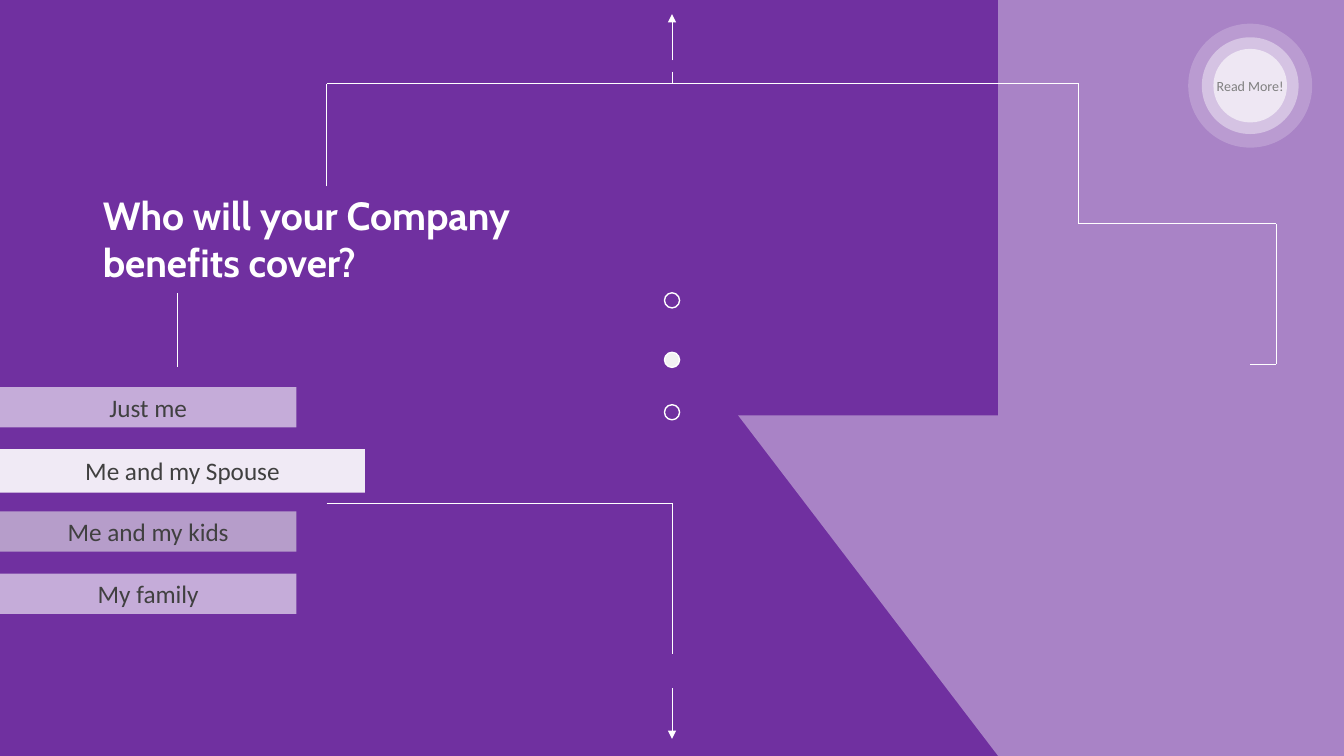
import itertools

import pptx
import pptx.dml.color
import pptx.enum.shapes
import pptx.enum.text
import pptx.oxml
import pptx.oxml.ns
import pptx.util

SHAPE = pptx.enum.shapes.MSO_SHAPE
ALIGN = pptx.enum.text.PP_ALIGN
ANCHOR = pptx.enum.text.MSO_ANCHOR
inch = pptx.util.Inches
W, H = 13.33, 7.5

# Content
QUESTION = ["Who will your Company", "benefits cover?"]
ANSWERS = [  # label, width, height, fill, opacity %
    ("Just me", 2.94, 0.4, "FFFFFF", 60),
    ("Me and my Spouse", 3.62, 0.43, "FFFFFF", 90),
    ("Me and my kids", 2.94, 0.4, "E6E6E6", 60),
    ("My family", 2.94, 0.4, "FFFFFF", 60),
]
RINGS = [  # diameter, opacity %, label
    (0.73, 60, ""),
    (0.96, 40, ""),
    (1.23, 20, "Read More!"),
]
DOTS = [(2.98, None), (3.57, "F2F2F2"), (4.09, None)]  # centre height, fill
MID = W / 2
ROUTES = [  # corner points of each thin line
    [(3.24, 1.85), (3.24, 0.83), (10.7, 0.83), (10.7, 2.22),
     (12.66, 2.22), (12.66, 3.61), (12.4, 3.61)],
    [(MID, 0.71), (MID, 0.83)],
    [(1.76, 2.91), (1.76, 3.64)],
    [(3.24, 4.99), (MID, 4.99), (MID, 6.49)],
]
ARROWS = [[(MID, 0.6), (MID, 0.14)], [(MID, 6.83), (MID, 7.33)]]
PURPLE, LILAC, WHITE = "7030A0", "A983C6", "FFFFFF"


def rgb(code):
    return pptx.dml.color.RGBColor.from_string(code)


def write(paragraph, text, font, size, color, align, bold=False):
    paragraph.alignment = align
    run = paragraph.add_run()
    run.text = text
    run.font.name, run.font.size = font, pptx.util.Pt(size)
    run.font.bold, run.font.color.rgb = bold, rgb(color)


def add_part(kind, left, top, width, height, fill=None, opacity=100, outline=None):
    part = slide.shapes.add_shape(kind, inch(left), inch(top), inch(width), inch(height))
    part.shadow.inherit = False
    if fill:
        part.fill.solid()
        part.fill.fore_color.rgb = rgb(fill)
        if opacity < 100:
            color = part.fill._xPr.find(".//" + pptx.oxml.ns.qn("a:srgbClr"))
            color.append(pptx.oxml.parse_xml(
                f'<a:alpha {pptx.oxml.ns.nsdecls("a")} val="{opacity * 1000}"/>'))
    else:
        part.fill.background()
    if outline:
        part.line.color.rgb = rgb(outline)
        part.line.width = pptx.util.Pt(1)
    else:
        part.line.fill.background()
    return part


def label(part, text, size, color):
    frame = part.text_frame
    frame.word_wrap = False
    frame.vertical_anchor = ANCHOR.MIDDLE
    write(frame.paragraphs[0], text, "Calibri", size, color, ALIGN.CENTER)


def add_route(points, arrow=False):
    for start, end in itertools.pairwise(points):
        line = slide.shapes.add_connector(
            pptx.enum.shapes.MSO_CONNECTOR.STRAIGHT, *map(inch, start + end))
        line.line.color.rgb = rgb(WHITE)
        line.line.width = pptx.util.Pt(0.5)
        ns = pptx.oxml.ns.nsdecls("a")
        if arrow:
            line.line._get_or_add_ln().append(
                pptx.oxml.parse_xml(f'<a:tailEnd {ns} type="triangle"/>'))
        line._element.spPr.append(pptx.oxml.parse_xml(f"<a:effectLst {ns}/>"))


deck = pptx.Presentation()
deck.slide_width, deck.slide_height = inch(W), inch(H)
slide = deck.slides.add_slide(deck.slide_layouts[5])

# Purple ground with the lilac panel and its wedge
slide.background.fill.solid()
slide.background.fill.fore_color.rgb = rgb(PURPLE)
panel_left, wedge_width, wedge_height = 9.9, 2.58, 3.38
add_part(SHAPE.RECTANGLE, panel_left, 0, W - panel_left, H, LILAC)
wedge = add_part(SHAPE.RIGHT_TRIANGLE, panel_left - wedge_width, H - wedge_height,
                 wedge_width, wedge_height, LILAC)
wedge.rotation = 180

# Question
question = slide.shapes.title
question.left, question.top = inch(0.92), inch(1.85)
question.width, question.height = inch(4.64), inch(1.04)
frame = question.text_frame
frame.auto_size = pptx.enum.text.MSO_AUTO_SIZE.NONE
frame.word_wrap = False
frame.vertical_anchor = ANCHOR.TOP
for i, text in enumerate(QUESTION):
    paragraph = frame.add_paragraph() if i else frame.paragraphs[0]
    write(paragraph, text, "Cabin", 28, WHITE, ALIGN.LEFT, bold=True)

# Answer bars, evenly stepped from the left edge
first_top, step = 3.84, 0.617
for i, (text, width, height, fill, opacity) in enumerate(ANSWERS):
    bar = add_part(SHAPE.RECTANGLE, 0, first_top + i * step, width, height, fill, opacity)
    label(bar, text, 18, "404040")

# Page dots
dot = 0.15
for middle, fill in DOTS:
    add_part(SHAPE.OVAL, MID - dot / 2, middle - dot / 2, dot, dot, fill, outline=WHITE)

# Concentric button
button_x, button_y = 12.4, 0.85
for size, opacity, text in RINGS:
    ring = add_part(SHAPE.OVAL, button_x - size / 2, button_y - size / 2,
                    size, size, WHITE, opacity)
    if text:
        label(ring, text, 10, "808080")

# Thin lines and arrows
for route in ROUTES:
    add_route(route)
for route in ARROWS:
    add_route(route, arrow=True)

deck.save("out.pptx")
